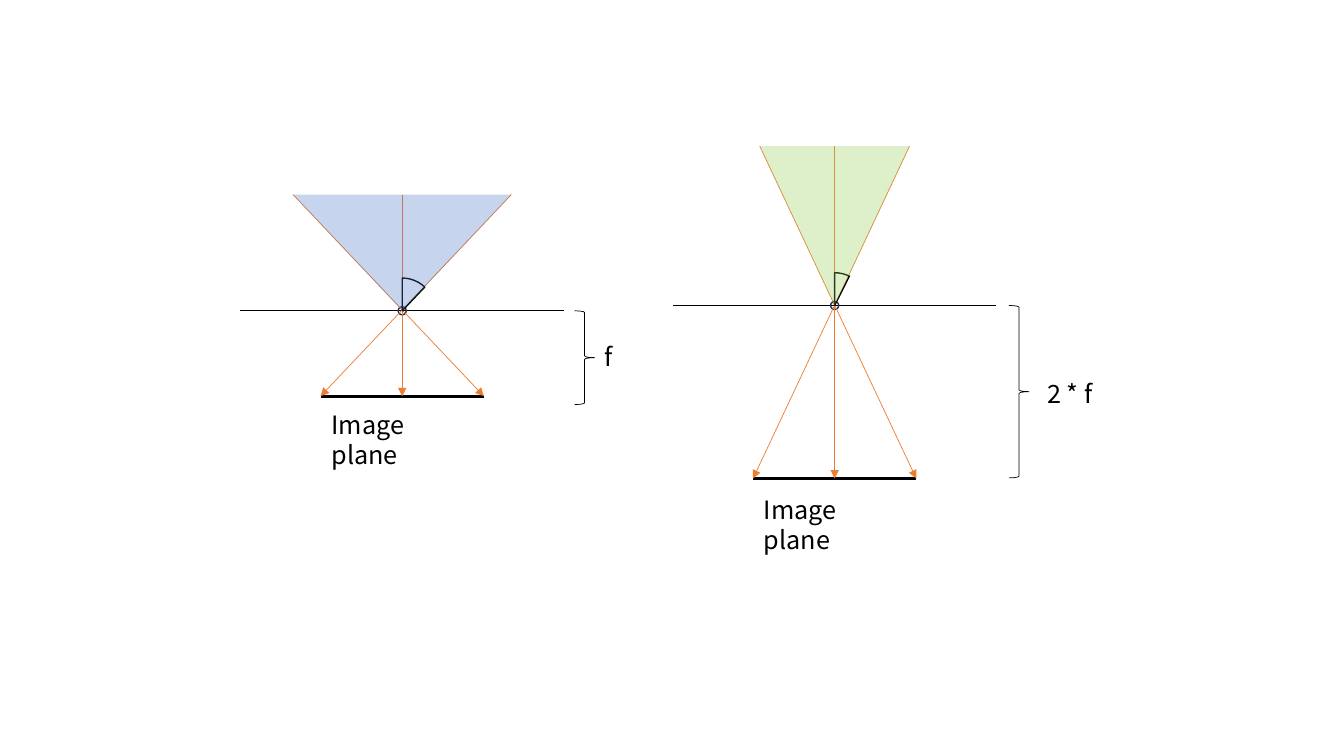
from lxml.etree import SubElement
from pptx import Presentation
from pptx.dml.color import RGBColor
from pptx.enum.shapes import MSO_CONNECTOR, MSO_SHAPE
from pptx.enum.text import MSO_ANCHOR
from pptx.oxml.ns import qn
from pptx.util import Pt

FONT = "Noto Sans CJK KR"
BLACK, RAY, RING = "000000", "ED7D31", "1E3256"

# All lengths in points; the pinhole is the centre of each camera.
CAMERAS = [
    dict(pinhole=(287.3, 222), scene_y=139, scene_half=78, image_y=283,
         angle=43.47, fill="4472C4", brace_x=410.4, brace_h=67,
         focal="f", focal_at=(424.8, 240.5), focal_w=21, caption_gap=5.8),
    dict(pinhole=(596.2, 218.2), scene_y=104.4, scene_half=53.5, image_y=341.8,
         angle=26.73, fill="92D050", brace_x=720.7, brace_h=123.2,
         focal="2 * f", focal_at=(740.9, 266.4), focal_w=47.5, caption_gap=7.4),
]
CAPTION = "Image plane"
APERTURE_HALF, IMAGE_HALF = 115.5, 58.3
RING_R, ARC_R, BRACE_W = 2.9, 23.4, 14.4

prs = Presentation()
prs.slide_width, prs.slide_height = Pt(960), Pt(540)
s = prs.slides.add_slide(prs.slide_layouts[6])


def rgb(color):
    return RGBColor.from_string(color)


def add_line(x1, y1, x2, y2, color=BLACK, width=0.5, arrow=False):
    line = s.shapes.add_connector(MSO_CONNECTOR.STRAIGHT, Pt(x1), Pt(y1), Pt(x2), Pt(y2))
    line.line.color.rgb = rgb(color)
    line.line.width = Pt(width)
    if arrow:
        SubElement(line.line._get_or_add_ln(), qn("a:tailEnd"), type="triangle")
    SubElement(line._element.spPr, qn("a:effectLst"))


def add_shape(kind, x, y, w, h, color=None, width=1, fill=None, alpha=30, rotation=0):
    sp = s.shapes.add_shape(kind, Pt(x), Pt(y), Pt(w), Pt(h))
    sp.shadow.inherit = False
    sp.rotation = rotation
    if fill:
        sp.fill.solid()
        sp.fill.fore_color.rgb = rgb(fill)
        clr = sp._element.spPr.find(qn("a:solidFill"))[0]
        SubElement(clr, qn("a:alpha"), val=str(alpha * 1000))
    else:
        sp.fill.background()
    if color:
        sp.line.color.rgb = rgb(color)
        sp.line.width = Pt(width)
    else:
        sp.line.fill.background()
    return sp


def add_text(text, x, y, w, h=29, size=18, color=BLACK, wrap=False):
    tf = s.shapes.add_textbox(Pt(x), Pt(y), Pt(w), Pt(h)).text_frame
    tf.word_wrap = wrap
    tf.vertical_anchor = MSO_ANCHOR.TOP
    r = tf.paragraphs[0].add_run()
    r.text = text
    r.font.name, r.font.size = FONT, Pt(size)
    r.font.color.rgb = rgb(color)


def add_camera(pinhole, scene_y, scene_half, image_y, angle, fill, brace_x, brace_h,
               focal, focal_at, focal_w, caption_gap):
    x, y = pinhole
    add_line(x - APERTURE_HALF, y, x + APERTURE_HALF, y)
    add_line(x - IMAGE_HALF, image_y, x + IMAGE_HALF, image_y, width=2.25)
    add_shape(MSO_SHAPE.OVAL, x - RING_R, y - RING_R, 2 * RING_R, 2 * RING_R, RING)
    add_shape(MSO_SHAPE.RIGHT_BRACE, brace_x, y, BRACE_W, brace_h, BLACK, 0.5)
    add_text(focal, *focal_at, focal_w)
    for side in (-1, 1, 0):
        add_line(x + side * scene_half, scene_y, x - side * IMAGE_HALF, image_y,
                 RAY, arrow=True)
    arc = add_shape(MSO_SHAPE.PIE, x - ARC_R, y - ARC_R, 2 * ARC_R, 2 * ARC_R,
                    BLACK, rotation=270)
    arc.adjustments[0] = 0
    arc.adjustments[1] = angle * 0.6  # 60000 units a degree, scaled by 100000
    add_text(CAPTION, x - 57.6, image_y + caption_gap, 112, wrap=True)
    add_shape(MSO_SHAPE.ISOSCELES_TRIANGLE, x - scene_half, scene_y,
              2 * scene_half, y - scene_y, fill=fill, rotation=180)


for camera in CAMERAS:
    add_camera(**camera)

prs.save("out.pptx")
